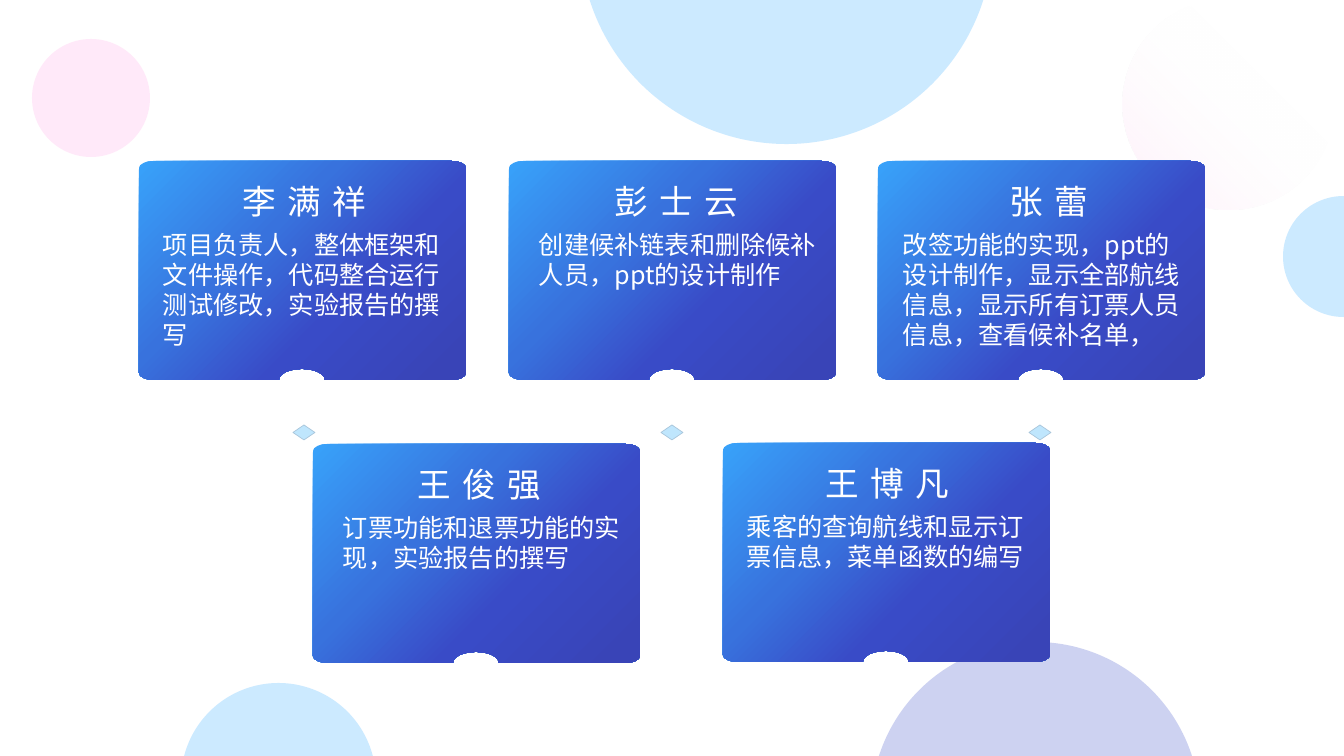
from pptx import Presentation
from pptx.dml.color import RGBColor
from pptx.enum.shapes import MSO_SHAPE as Shape
from pptx.enum.text import MSO_AUTO_SIZE as AutoSize, PP_ALIGN as Align
from pptx.oxml import parse_xml
from pptx.oxml.ns import nsdecls, qn
from pptx.util import Pt

COLORS = {
    "pink": "FFABE8", "sky": "36ADFF", "indigo": "394DC9", "white": "FFFFFF",
    "deep": "3944B7", "royal": "394BC7", "medium": "3872DD", "bright": "38A2FA",
    "gem": "BFE6FD", "gem_edge": "A9C6DB",
}
NAME_FONT, DUTY_FONT = "Noto Sans CJK JP", "Noto Sans CJK SC"
SLIDE_W, SLIDE_H = 1344, 756
SCALE = 12192000 / SLIDE_W  # EMU per px
CARD_W, CARD_H = 327, 219

# Card outline in px: rounded corners and a notch in the bottom edge
CARD_OUTLINE = [
    ("moveTo", [(15, 0)]),
    ("lnTo", [(312, 0)]),
    ("cubicBezTo", [(320, 0), (327, 3), (327, 7)]),
    ("lnTo", [(327, 212)]),
    ("cubicBezTo", [(327, 216), (320, 219), (312, 219)]),
    ("lnTo", [(186, 219)]),
    ("cubicBezTo", [(186, 213), (176, 208), (163, 208)]),
    ("cubicBezTo", [(150, 208), (140, 213), (140, 219)]),
    ("lnTo", [(15, 219)]),
    ("cubicBezTo", [(7, 219), (0, 216), (0, 212)]),
    ("lnTo", [(0, 7)]),
    ("cubicBezTo", [(0, 3), (7, 0), (15, 0)]),
]

# Left, top, diameter, colour
CIRCLES = [
    (32, 39, 118, "pink"),
    (1283, 196, 121, "sky"),
    (181, 683, 195, "sky"),
    (871, 642, 329, "indigo"),
    (580, -269, 413, "sky"),
]

# Card left, card top, name indent, duty indent, duty lines, name, duty
MEMBERS = [
    (139, 161, 25, 14, 4, "李满祥",
     "项目负责人，整体框架和文件操作，代码整合运行测试修改，实验报告的撰写"),
    (509, 161, 27, 20, 2, "彭士云", "创建候补链表和删除候补人员，ppt的设计制作"),
    (878, 161, 30, 15, 4, "张蕾",
     "改签功能的实现，ppt的设计制作，显示全部航线信息，显示所有订票人员信息，查看候补名单，"),
    (313, 444, 26, 20, 2, "王俊强", "订票功能和退票功能的实现，实验报告的撰写"),
    (723, 443, 24, 14, 2, "王博凡", "乘客的查询航线和显示订票信息，菜单函数的编写"),
]


def emu(px):
    return round(px * SCALE)


class Page:
    def __init__(self, deck):
        self.slide = deck.slides.add_slide(deck.slide_layouts[6])
        self.shapes = self.slide.shapes

    def preset(self, kind, left, top, width, height, color, alpha=100, edge=None):
        shape = self.shapes.add_shape(kind, emu(left), emu(top), emu(width), emu(height))
        shape.shadow.inherit = False
        shape.fill.solid()
        shape.fill.fore_color.rgb = RGBColor.from_string(COLORS[color])
        if alpha < 100:
            tint = shape._element.spPr.find(".//" + qn("a:srgbClr"))
            tint.append(parse_xml(f'<a:alpha {nsdecls("a")} val="{alpha * 1000}"/>'))
        if edge:
            shape.line.color.rgb = RGBColor.from_string(COLORS[edge])
            shape.line.width = Pt(0.5)
        else:
            shape.line.fill.background()
        return shape

    def gradient(self, shape, stops, direction):
        """Stops are (percent, colour, alpha); direction is the XML after them."""
        marks = "".join(
            f'<a:gs pos="{pos * 1000}"><a:srgbClr val="{COLORS[color]}">'
            f'<a:alpha val="{alpha * 1000}"/></a:srgbClr></a:gs>'
            for pos, color, alpha in stops)
        shape.fill.gradient()
        properties = shape._element.spPr
        properties.replace(properties.find(qn("a:gradFill")), parse_xml(
            f'<a:gradFill {nsdecls("a")} rotWithShape="1">'
            f'<a:gsLst>{marks}</a:gsLst>{direction}</a:gradFill>'))

    def card(self, left, top):
        right, bottom = left + CARD_W, top + CARD_H
        builder = self.shapes.build_freeform(emu(left), emu(top))
        builder.add_line_segments(
            [(emu(x), emu(y)) for x, y in [(right, top), (right, bottom), (left, bottom)]])
        shape = builder.convert_to_shape()
        shape.shadow.inherit = False
        shape.line.fill.background()
        # Curves replace the straight sides
        steps = "".join(
            f"<a:{step}>" + "".join(f'<a:pt x="{emu(x)}" y="{emu(y)}"/>' for x, y in points)
            + f"</a:{step}>" for step, points in CARD_OUTLINE)
        sides = shape._element.spPr.find(".//" + qn("a:path"))
        sides.getparent().replace(sides, parse_xml(
            f'<a:path {nsdecls("a")} w="{emu(CARD_W)}" h="{emu(CARD_H)}">'
            f'{steps}<a:close/></a:path>'))
        self.gradient(
            shape,
            [(5, "deep", 100), (37, "royal", 100), (63, "medium", 100), (100, "bright", 100)],
            '<a:path path="circle"><a:fillToRect l="100000" t="100000"/></a:path>'
            '<a:tileRect r="-100000" b="-100000"/>')

    def text(self, left, top, width, height, words, font, size, align=Align.LEFT,
             line_spacing=None, tracking=0):
        box = self.shapes.add_textbox(emu(left), emu(top), emu(width), emu(height))
        frame = box.text_frame
        frame.word_wrap = True
        frame.auto_size = AutoSize.SHAPE_TO_FIT_TEXT
        para = frame.paragraphs[0]
        para.text = words
        para.alignment = align
        para.line_spacing = line_spacing
        para.font.size = Pt(size)
        para.font.name = font
        para.font.color.rgb = RGBColor.from_string(COLORS["white"])
        style = para._p.pPr.find(qn("a:defRPr"))
        style.append(parse_xml(f'<a:ea {nsdecls("a")} typeface="{font}"/>'))
        if tracking:
            style.set("spc", str(tracking * 100))


def main():
    deck = Presentation()
    deck.slide_width, deck.slide_height = emu(SLIDE_W), emu(SLIDE_H)
    page = Page(deck)

    # Background circles
    for left, top, size, color in CIRCLES:
        page.preset(Shape.OVAL, left, top, size, size, color, alpha=25)
    fading = page.preset(Shape.OVAL, 1123, -1, 211, 211, "pink")
    page.gradient(fading, [(0, "pink", 20), (65, "white", 0)],
                  '<a:lin ang="2700000" scaled="0"/>')
    fading._element.spPr.find(qn("a:xfrm")).set("flipV", "1")

    # Small diamonds between the rows
    for column in range(3):
        page.preset(Shape.DIAMOND, 293 + 368 * column, 425, 22, 15, "gem", edge="gem_edge")

    # Member cards
    for left, top, name_indent, duty_indent, lines, name, duty in MEMBERS:
        page.card(left, top)
        page.text(left + duty_indent, top + 63, 302, 12 + 30 * lines, duty, DUTY_FONT, 18)
        page.text(left + name_indent, top + 7, 281, 56, name, NAME_FONT, 24,
                  Align.CENTER, line_spacing=1.2, tracking=8)

    deck.save("out.pptx")


if __name__ == "__main__":
    main()
